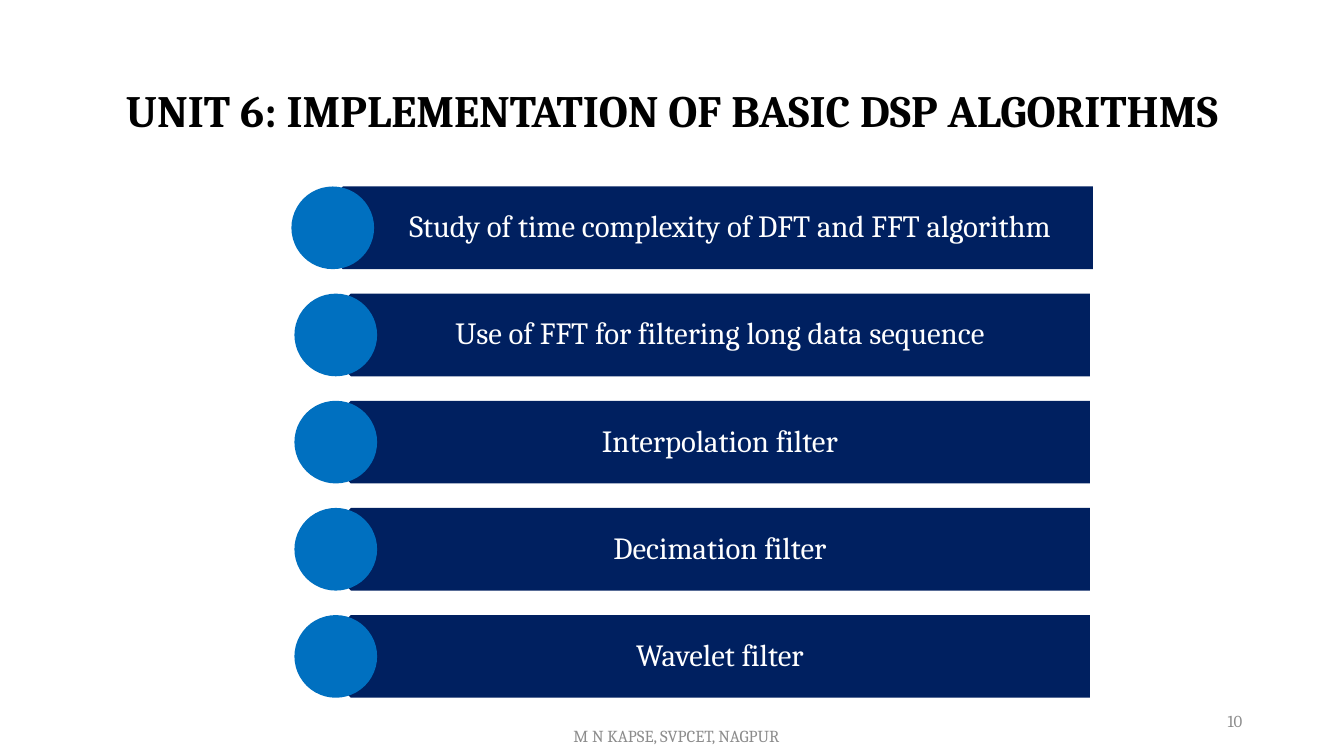
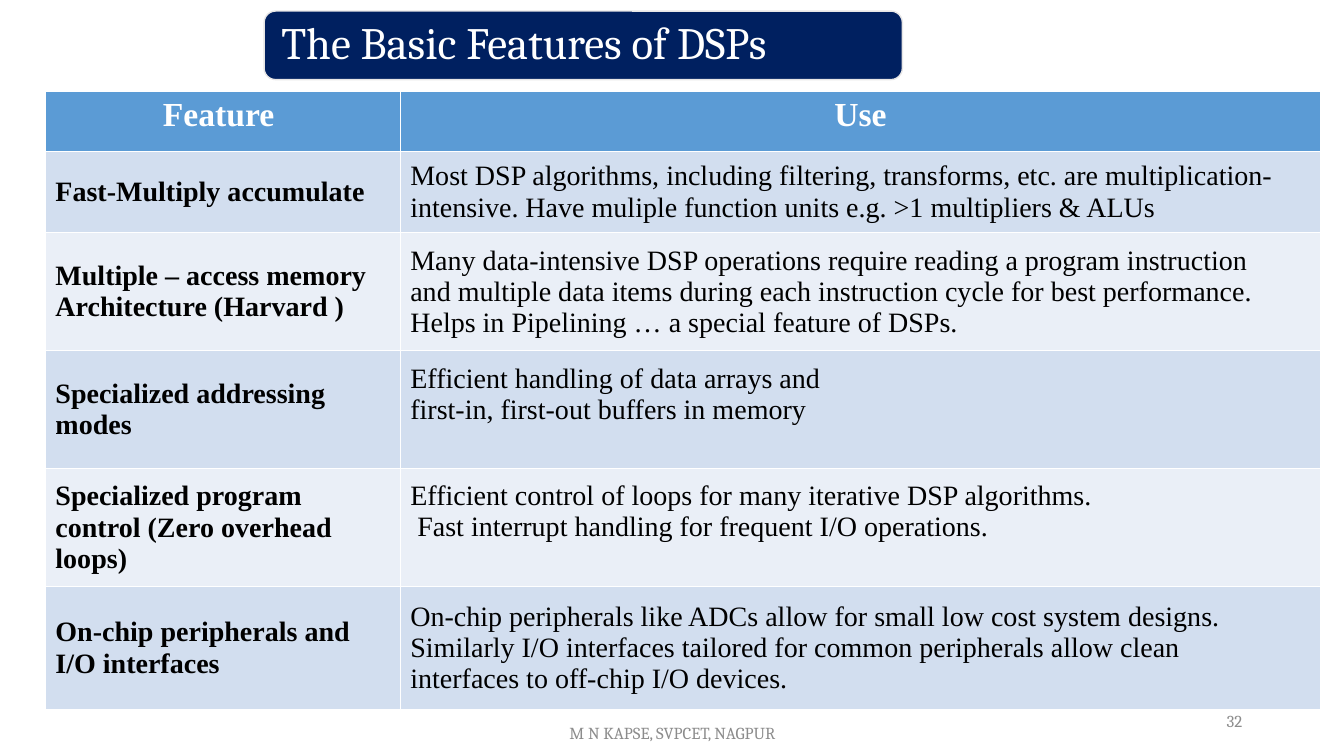
import pptx
import pptx.dml.color
import pptx.enum.shapes
import pptx.enum.text
import pptx.util

Inches = pptx.util.Inches
Align = pptx.enum.text.PP_ALIGN
Anchor = pptx.enum.text.MSO_ANCHOR
Shape = pptx.enum.shapes.MSO_SHAPE

NAVY, BLUE, GREY = "002060", "0070C0", "8C8C8C"
WHITE, BLACK, EDGE = "FFFFFF", "000000", "E7E6E6"
HEADER, BANDS = "5B9BD5", ("D2DEEF", "EAEFF7")
HEAD_FONT, TABLE_FONT = "Cambria", "Times New Roman"
FOOTER = "M N KAPSE, SVPCET, NAGPUR"

TOPICS = [
    "Study of time complexity of DFT and FFT algorithm",
    "Use of FFT for filtering long data sequence",
    "Interpolation filter",
    "Decimation filter",
    "Wavelet filter",
]

FEATURES = [
    ("Feature ", "Use"),
    ("Fast-Multiply accumulate",
     "Most DSP algorithms, including filtering, transforms, etc. are multiplication- "
     "intensive. Have muliple function units e.g. >1 multipliers & ALUs"),
    ("Multiple – access memory\nArchitecture (Harvard )",
     "Many data-intensive DSP operations require reading a program instruction\n"
     "and multiple data items during each instruction cycle for best performance.\n"
     "Helps in Pipelining … a special feature of DSPs."),
    ("Specialized addressing modes",
     "Efficient handling of data arrays and\nfirst-in, first-out buffers in memory"),
    ("Specialized program control (Zero overhead loops)",
     "Efficient control of loops for many iterative DSP algorithms.\n"
     " Fast interrupt handling for frequent I/O operations."),
    ("On-chip peripherals and I/O interfaces",
     "On-chip peripherals like ADCs allow for small low cost system designs.\n"
     "Similarly I/O interfaces tailored for common peripherals allow clean\n"
     "interfaces to off-chip I/O devices."),
]
COLUMN_WIDTHS = (3.52, 9.13)
ROW_HEIGHTS = (0.59, 0.81, 1.17, 1.17, 1.17, 1.22)
RAISED_ROWS = (3, 4)


def color(value):
    return pptx.dml.color.RGBColor.from_string(value)


def write(frame, text, size, font=HEAD_FONT, fill=BLACK, bold=False,
          align=Align.LEFT, spacing=1.0):
    for index, line in enumerate(text.split("\n")):
        para = frame.add_paragraph() if index else frame.paragraphs[0]
        para.alignment = align
        para.line_spacing = spacing
        span = para.add_run()
        span.text = line
        span.font.size = pptx.util.Pt(size)
        span.font.name = font
        span.font.bold = bold
        span.font.color.rgb = color(fill)


def set_up(frame, insets=(0.1, 0.05, 0.1, 0.05)):
    frame.word_wrap = True
    frame.auto_size = pptx.enum.text.MSO_AUTO_SIZE.NONE
    frame.vertical_anchor = Anchor.MIDDLE
    (frame.margin_left, frame.margin_top,
     frame.margin_right, frame.margin_bottom) = map(Inches, insets)


class Deck:
    def __init__(self):
        self.deck = pptx.Presentation()
        self.deck.slide_width = Inches(13.33)
        self.deck.slide_height = Inches(7.5)
        self.page = None

    def start_page(self, number, footer_left, footer_top):
        self.page = self.deck.slides.add_slide(self.deck.slide_layouts[5])
        self.text(FOOTER, footer_left, footer_top, 4.5, 0.4,
                  size=12, fill=GREY, align=Align.CENTER)
        self.text(number, 9.42, 6.95, 3, 0.4, size=12, fill=GREY, align=Align.RIGHT)

    def title(self, text, left, top, width, height, inset=0.1, **style):
        title = self.page.shapes.title
        title.left, title.top = Inches(left), Inches(top)
        title.width, title.height = Inches(width), Inches(height)
        set_up(title.text_frame, (inset,) * 4)
        write(title.text_frame, text, 32, spacing=0.9, **style)
        return title

    def text(self, text, left, top, width, height, insets=(0.1, 0.05, 0.1, 0.05), **style):
        box = self.page.shapes.add_textbox(
            Inches(left), Inches(top), Inches(width), Inches(height))
        set_up(box.text_frame, insets)
        write(box.text_frame, text, **style)

    def shape(self, kind, left, top, width, height, fill, line=None):
        shape = self.page.shapes.add_shape(
            kind, Inches(left), Inches(top), Inches(width), Inches(height))
        shape.shadow.inherit = False
        shape.fill.solid()
        shape.fill.fore_color.rgb = color(fill)
        if line:
            shape.line.color.rgb = color(line)
            shape.line.width = pptx.util.Pt(1)
        else:
            shape.line.fill.background()
        return shape

    def topic(self, text, circle_left, bar_left, bar_width, top, text_inset):
        height = 0.82
        bar = self.shape(Shape.PENTAGON, bar_left, top, bar_width, height, NAVY)
        bar.rotation = 180
        self.text(text, bar_left + 0.21, top, bar_width - 0.21, height,
                  insets=(text_inset, 0.09, 0.17, 0.09),
                  size=22, fill=WHITE, align=Align.CENTER, spacing=0.9)
        self.shape(Shape.OVAL, circle_left, top, height, height, BLUE)

    def table(self, rows, left, top):
        table = self.page.shapes.add_table(
            len(rows), len(COLUMN_WIDTHS), Inches(left), Inches(top),
            Inches(sum(COLUMN_WIDTHS)), Inches(sum(ROW_HEIGHTS))).table
        for column, width in zip(table.columns, COLUMN_WIDTHS):
            column.width = Inches(width)
        for row, height in zip(table.rows, ROW_HEIGHTS):
            row.height = Inches(height)
        for row_index, texts in enumerate(rows):
            for column_index, text in enumerate(texts):
                cell = table.cell(row_index, column_index)
                cell.fill.solid()
                if row_index == 0:
                    cell.fill.fore_color.rgb = color(HEADER)
                    write(cell.text_frame, text, 24, TABLE_FONT, WHITE, True, Align.CENTER)
                    continue
                cell.fill.fore_color.rgb = color(BANDS[(row_index - 1) % 2])
                cell.vertical_anchor = Anchor.MIDDLE
                if column_index and row_index in RAISED_ROWS:
                    cell.margin_bottom = Inches(0.36)
                write(cell.text_frame, text, 20, TABLE_FONT, bold=column_index == 0)


def add_unit_page(deck):
    deck.start_page("10", 4.46, 7.1)
    deck.title("UNIT 6: IMPLEMENTATION OF BASIC DSP ALGORITHMS",
               0.92, 0.4, 11.5, 1.45, bold=True, align=Align.CENTER)
    for index, topic in enumerate(TOPICS):
        top = 1.85 + index * 1.063
        if index == 0:
            deck.topic(topic, 2.89, 2.99, 7.85, top, 0.61)
        else:
            deck.topic(topic, 2.92, 3.07, 7.74, top, 0.36)


def add_features_page(deck):
    deck.start_page("32", 4.42, 7.07)
    deck.table(FEATURES, 0.45, 0.91)
    plate = deck.shape(Shape.ROUNDED_RECTANGLE, 2.62, 0.11, 6.33, 0.68, NAVY, EDGE)
    title = deck.title("The Basic Features of DSPs", 2.66, 0.14, 6.26, 0.61,
                       inset=0.13, fill=WHITE, align=Align.LEFT)
    title.element.addprevious(plate.element)


def main():
    deck = Deck()
    add_unit_page(deck)
    add_features_page(deck)
    deck.deck.save("out.pptx")


if __name__ == "__main__":
    main()
